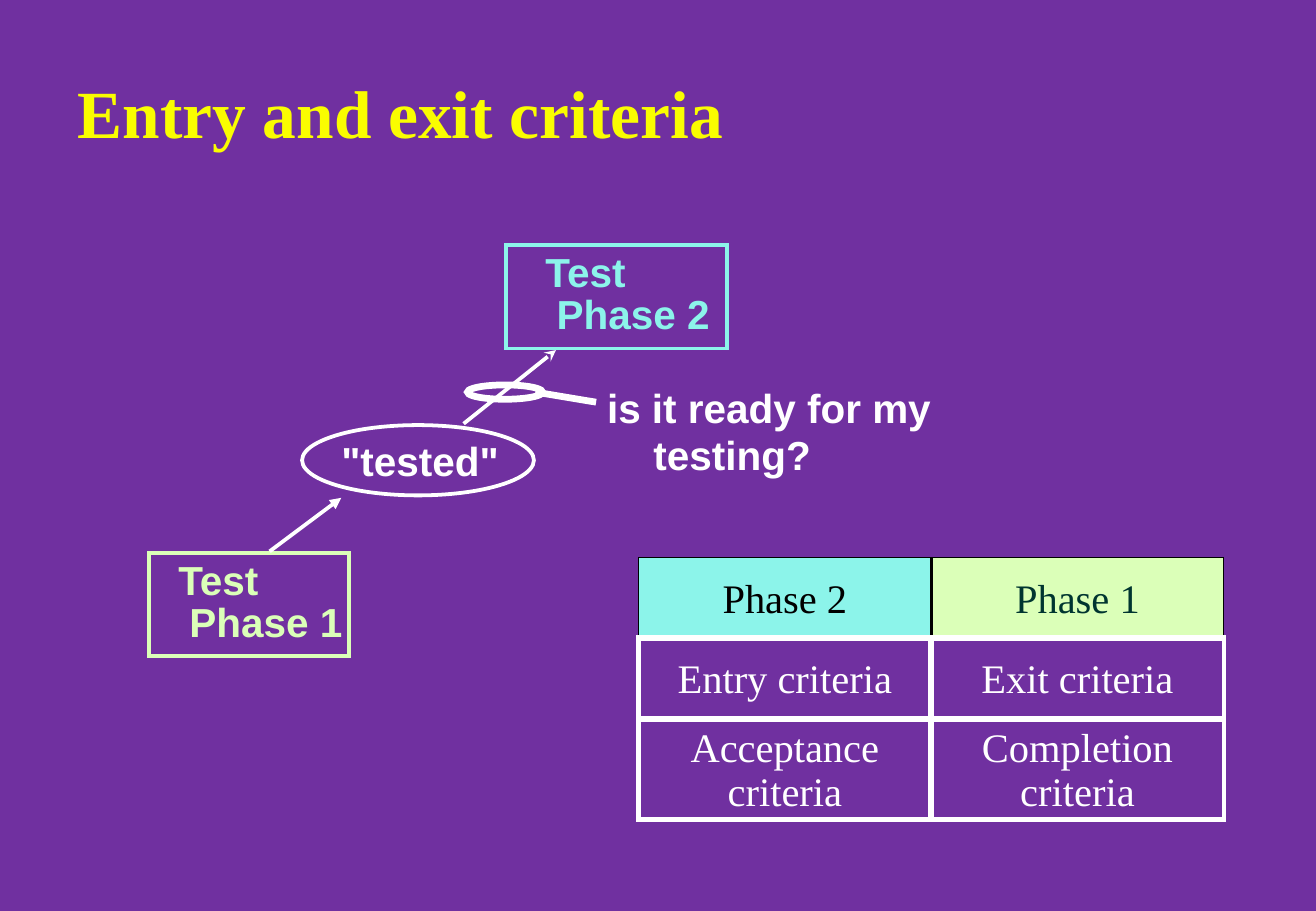
import pptx
import pptx.dml.color
import pptx.enum.shapes
import pptx.enum.text
import pptx.oxml
import pptx.oxml.ns
import pptx.util
from lxml import etree

Cm, Pt = pptx.util.Cm, pptx.util.Pt
SHAPE = pptx.enum.shapes.MSO_SHAPE
ANCHOR = pptx.enum.text.MSO_ANCHOR
ALIGN = pptx.enum.text.PP_ALIGN

COLOURS = {
    "purple": "7030A0",
    "yellow": "FAFD00",
    "green": "DBFFB8",
    "aqua": "8CF4EA",
    "white": "FFFFFF",
    "black": "000000",
    "dark green": "003530",
}
SANS, SERIF = "Arial", "Times New Roman"


def rgb(colour):
    return pptx.dml.color.RGBColor.from_string(COLOURS[colour])


def write(frame, text, font=SANS, size=24, colour="white", bold=True,
          align=ALIGN.LEFT, spacing=None, hanging=0):
    """Fill a text frame; "\\n" starts a paragraph and "\\v" a line."""
    frame.text = text
    for paragraph in frame.paragraphs:
        paragraph.alignment = align
        if spacing:
            paragraph.line_spacing = spacing
        if hanging:
            properties = paragraph._p.get_or_add_pPr()
            properties.set("marL", str(Cm(hanging)))
            properties.set("indent", str(-Cm(hanging)))
        for run in paragraph.runs:
            run.font.name, run.font.size, run.font.bold = font, Pt(size), bold
            run.font.color.rgb = rgb(colour)


class Deck:
    """Holds the presentation, its current slide and the drawing style."""

    def __init__(self, width, height, background):
        self.presentation = pptx.Presentation()
        self.presentation.slide_width = Cm(width)
        self.presentation.slide_height = Cm(height)
        self.slide = self.presentation.slides.add_slide(
            self.presentation.slide_layouts[5])
        self.slide.background.fill.solid()
        self.slide.background.fill.fore_color.rgb = rgb(background)

    def title(self, text, left, top, width, height):
        heading = self.slide.shapes.title
        heading.left, heading.top = Cm(left), Cm(top)
        heading.width, heading.height = Cm(width), Cm(height)
        heading.text_frame.vertical_anchor = ANCHOR.MIDDLE
        heading.text_frame.auto_size = pptx.enum.text.MSO_AUTO_SIZE.NONE
        write(heading.text_frame, text, font=SERIF, size=40, colour="yellow")

    def outline(self, kind, left, top, width, height, colour="white", weight=2.25):
        shape = self.slide.shapes.add_shape(
            kind, Cm(left), Cm(top), Cm(width), Cm(height))
        shape.shadow.inherit = False
        shape.fill.background()
        shape.line.color.rgb = rgb(colour)
        shape.line.width = Pt(weight)
        etree.SubElement(shape.line._get_or_add_ln(),
                         pptx.oxml.ns.qn("a:miter"), lim="800000")

    def label(self, text, left, top, width, height, **style):
        frame = self.slide.shapes.add_textbox(
            Cm(left), Cm(top), Cm(width), Cm(height)).text_frame
        frame.word_wrap = True
        frame.margin_left = frame.margin_right = Cm(0.18)
        frame.margin_top = frame.margin_bottom = Cm(0.08)
        write(frame, text, **style)

    def line(self, start, end, weight=2.25, arrowhead=None):
        connector = self.slide.shapes.add_connector(
            pptx.enum.shapes.MSO_CONNECTOR.STRAIGHT,
            *(Cm(length) for length in (*start, *end)))
        connector.line.color.rgb = rgb("white")
        connector.line.width = Pt(weight)
        if arrowhead:
            etree.SubElement(connector.line._get_or_add_ln(),
                             pptx.oxml.ns.qn("a:tailEnd"), type=arrowhead)
        etree.SubElement(connector._element.spPr, pptx.oxml.ns.qn("a:effectLst"))

    def borders(self, cell, edges):
        """Set borders from (colour, points) for left, right, top and bottom."""
        properties = cell._tc.get_or_add_tcPr()
        for index, (side, (colour, weight)) in enumerate(zip("LRTB", edges)):
            properties.insert(index, pptx.oxml.parse_xml(
                f'<a:ln{side} {pptx.oxml.ns.nsdecls("a")} w="{Pt(weight)}">'
                f'<a:solidFill><a:srgbClr val="{COLOURS[colour]}"/></a:solidFill>'
                f'</a:ln{side}>'))

    def table(self, rows, left, top, column_width, row_heights, header_styles):
        """Draw a table; header_styles gives (fill, text colour) per column."""
        columns = len(rows[0])
        table = self.slide.shapes.add_table(
            len(rows), columns, Cm(left), Cm(top),
            Cm(column_width * columns), Cm(sum(row_heights))).table
        table.first_row = table.horz_banding = False
        for column in table.columns:
            column.width = Cm(column_width)
        for r, (texts, height) in enumerate(zip(rows, row_heights)):
            table.rows[r].height = Cm(height)
            for c, text in enumerate(texts):
                cell = table.cell(r, c)
                cell.vertical_anchor = ANCHOR.MIDDLE
                cell.margin_top, cell.margin_bottom = Cm(0.06), 0
                if r == 0:
                    fill, ink = header_styles[c]
                    cell.fill.solid()
                    cell.fill.fore_color.rgb = rgb(fill)
                    outer, inner, upper = ("black", 1), ("black", 2), ("black", 1)
                else:
                    ink = "white"
                    cell.fill.background()
                    outer, inner, upper = ("white", 3), ("white", 4), ("white", 4)
                write(cell.text_frame, text, font=SERIF, colour=ink,
                      bold=False, align=ALIGN.CENTER)
                self.borders(cell, (inner if c else outer,
                                    inner if c < columns - 1 else outer,
                                    upper,
                                    ("white", 4 if r < len(rows) - 1 else 3)))


def main():
    deck = Deck(27.53, 19.05, "purple")
    deck.title("Entry and exit criteria", 1.37, 1.49, 23.39, 1.7)

    phases = [
        ("Test\n Phase 1", "green", 3.12, 11.56, 4.19, 0.43),
        ("Test\n Phase 2", "aqua", 10.59, 5.13, 4.62, 0.64),
    ]
    for name, colour, left, top, width, inset in phases:
        deck.outline(SHAPE.RECTANGLE, left, top, width, 2.16, colour)
        deck.label(name, left + inset, top + 0.1, 4.2, 1.9,
                   colour=colour, spacing=0.87)

    deck.outline(SHAPE.OVAL, 6.32, 8.89, 4.85, 1.47)
    deck.label('"tested"', 6.96, 9.18, 4, 1.02, spacing=0.87)
    deck.line((5.64, 11.53), (7.14, 10.41), arrowhead="triangle")
    deck.line((9.7, 8.86), (11.63, 7.32), arrowhead="stealth")

    deck.outline(SHAPE.OVAL, 9.78, 8.05, 1.57, 0.3, weight=4)
    deck.line((11.2, 8.2), (12.47, 8.41), weight=4)
    deck.label("is it ready for my testing?", 12.52, 8, 8.08, 2.08,
               spacing=0.96, hanging=0.97)

    deck.table(
        [("Phase 2", "Phase 1"),
         ("Entry criteria", "Exit criteria"),
         ("Acceptance\vcriteria", "Completion\vcriteria")],
        13.36, 11.66, 6.12, (1.69, 1.69, 2.08),
        [("aqua", "black"), ("green", "dark green")])
    deck.presentation.save("out.pptx")


if __name__ == "__main__":
    main()
